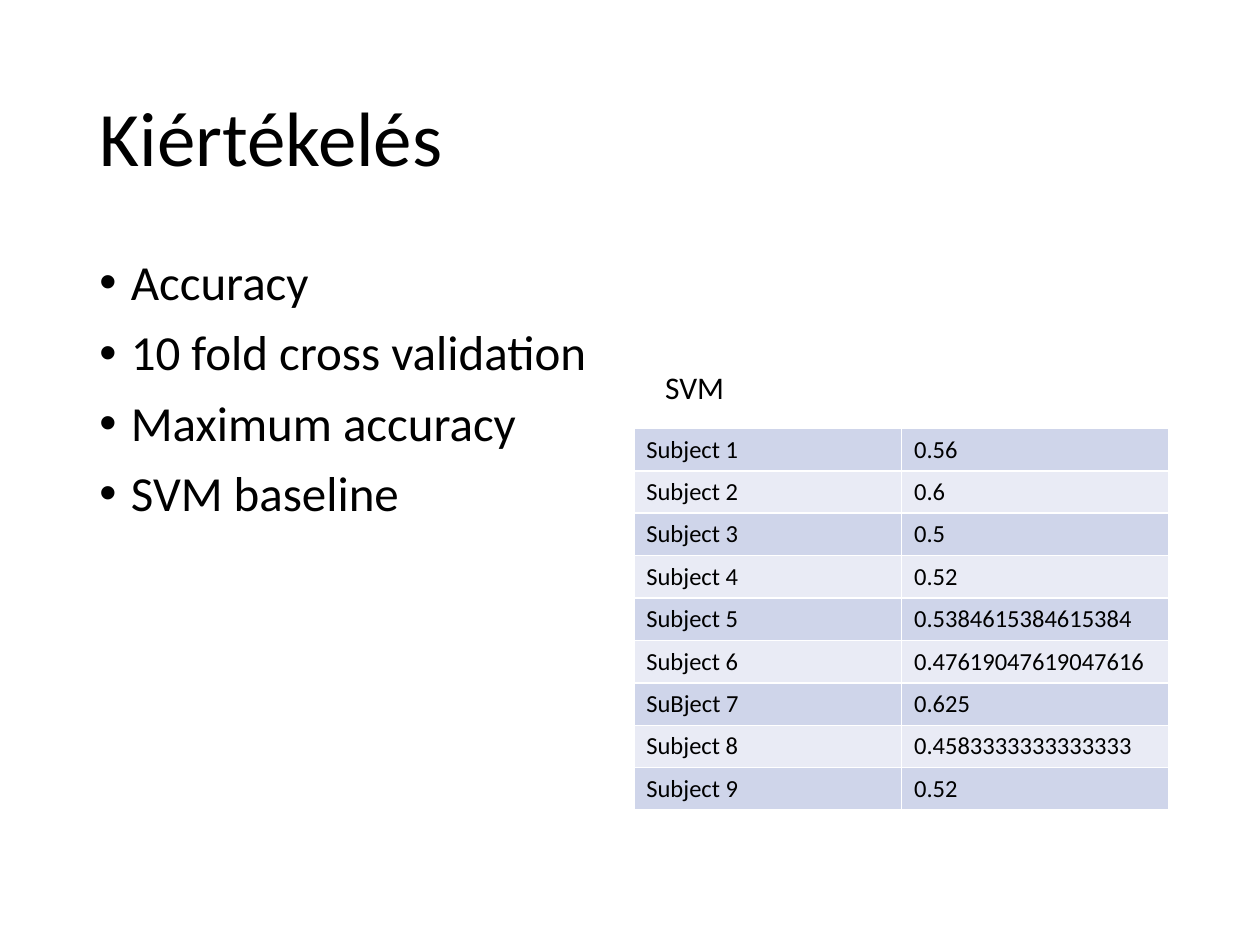
from lxml import etree
from pptx import Presentation, util as u
from pptx.dml.color import RGBColor
from pptx.enum import text
from pptx.oxml.ns import qn

prs = Presentation()
prs.slide_width, prs.slide_height = u.Inches(10), u.Inches(7.5)
s = prs.slides.add_slide(prs.slide_layouts[5])  # title only
LEFT, COL_W = u.Inches(0.69), u.Inches(4.25)


def rgb(value):
    return RGBColor.from_string(value)


def write(p, words, size, color="000000", spacing=None, before=0):
    p.alignment = text.PP_ALIGN.LEFT
    p.line_spacing = spacing
    p.space_before = u.Pt(before)
    r = p.add_run()
    r.text = words
    r.font.name, r.font.size = "Calibri", u.Pt(size)
    r.font.color.rgb = rgb(color)


# Title
title = s.shapes.title
title.left, title.top = LEFT, u.Inches(0.4)
title.width, title.height = u.Inches(8.62), u.Inches(1.45)
title.text_frame.vertical_anchor = text.MSO_ANCHOR.MIDDLE
write(title.text_frame.paragraphs[0], "Kiértékelés", 44, spacing=0.9)

# Bullet list
tf = s.shapes.add_textbox(LEFT, u.Inches(2), COL_W, u.Inches(4.76)).text_frame
tf.word_wrap = True
points = ["Accuracy", "10 fold cross validation", "Maximum accuracy", "SVM baseline"]
for i, point in enumerate(points):
    p = tf.add_paragraph() if i else tf.paragraphs[0]
    write(p, point, 28, spacing=0.9, before=10)
    pPr = p._p.get_or_add_pPr()
    pPr.set("marL", str(u.Inches(0.25)))
    pPr.set("indent", str(-u.Inches(0.25)))
    etree.SubElement(pPr, qn("a:buFont")).set("typeface", "Arial")
    etree.SubElement(pPr, qn("a:buChar")).set("char", "•")

# Table of accuracy per subject
scores = [
    ("Subject 1", "0.56"),
    ("Subject 2", "0.6"),
    ("Subject 3", "0.5"),
    ("Subject 4", "0.52"),
    ("Subject 5", "0.5384615384615384"),
    ("Subject 6", "0.47619047619047616"),
    ("SuBject 7", "0.625"),
    ("Subject 8", "0.4583333333333333"),
    ("Subject 9", "0.52"),
]
table = s.shapes.add_table(len(scores), 2, u.Inches(5.03), u.Inches(3.4),
                           COL_W, u.Inches(3.03)).table
table.first_row = False
for i, row in enumerate(scores):
    for j, value in enumerate(row):
        cell = table.cell(i, j)
        cell.vertical_anchor = text.MSO_ANCHOR.MIDDLE
        write(cell.text_frame.paragraphs[0], value, 14)
        tcPr = cell._tc.get_or_add_tcPr()
        for side in ("lnL", "lnR", "lnT", "lnB"):
            ln = etree.SubElement(tcPr, qn(f"a:{side}"), w=str(u.Pt(1)))
            fill = etree.SubElement(ln, qn("a:solidFill"))
            etree.SubElement(fill, qn("a:srgbClr"), val="FFFFFF")
        cell.fill.solid()
        cell.fill.fore_color.rgb = rgb("E9EBF5" if i % 2 else "CFD5EA")

# Table caption
tf = s.shapes.add_textbox(u.Inches(5.18), u.Inches(2.87), u.Inches(3), u.Inches(0.4)).text_frame
tf.word_wrap = True
tf.auto_size = text.MSO_AUTO_SIZE.SHAPE_TO_FIT_TEXT
write(tf.paragraphs[0], "SVM", 18)

prs.save("out.pptx")
